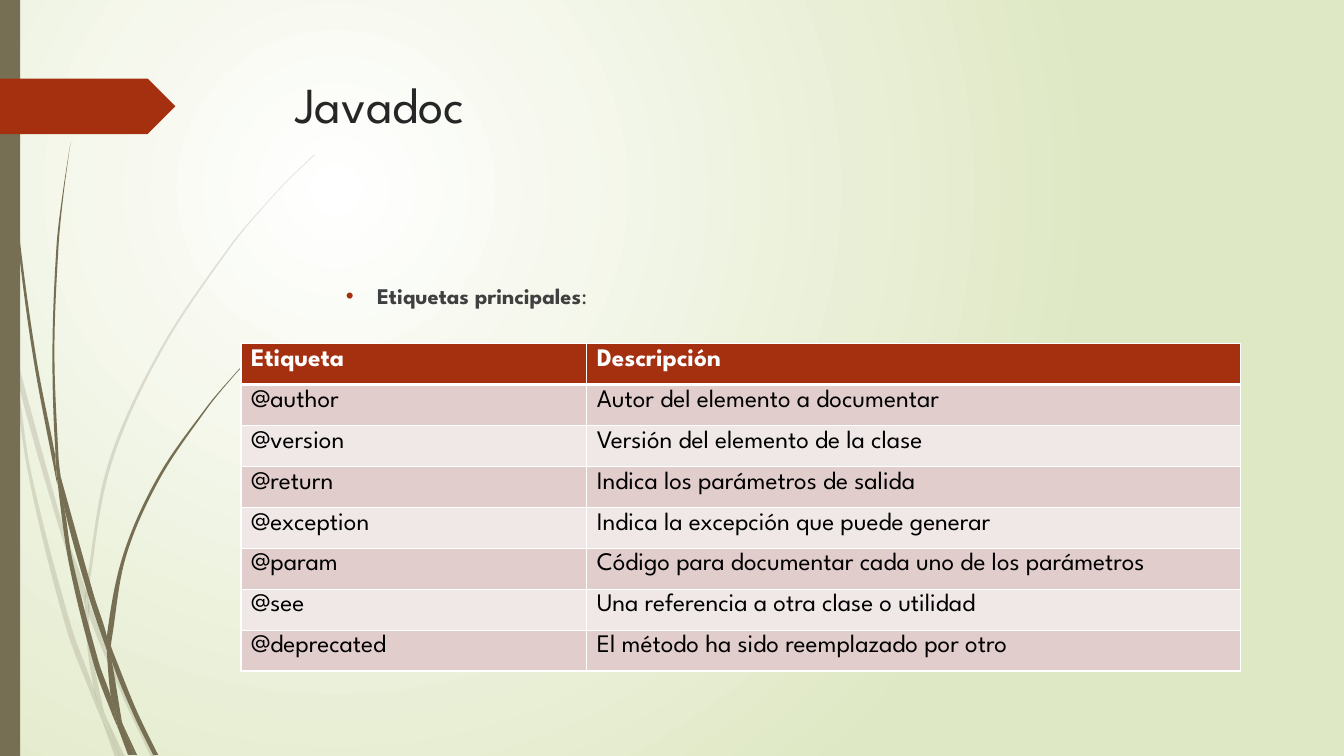
from math import hypot

from lxml import etree
from pptx import Presentation
from pptx.dml.color import RGBColor
from pptx.enum.shapes import MSO_SHAPE
from pptx.enum.text import MSO_ANCHOR, MSO_AUTO_SIZE, PP_ALIGN
from pptx.oxml.ns import qn
from pptx.util import Inches, Pt

FONT = "League Spartan"
COLORS = {
    "white": "FFFFFF", "olive": "766F54", "rust": "A53010", "mist": "DFE8C4",
    "title": "262626", "body": "404040", "black": "000000",
    "band_dark": "E1CDCC", "band_light": "F0E8E7",
}

# Closed outlines of the grass blades, in inches.
PALE_BLADES = [
    [(.11, 3.5), (.09, 3.22), (0, 2.82), (0, 2.99), (.1, 3.44)],
    [(.58, 5.22), (.84, 5.99), (.85, 5.86), (.62, 5.2), (.14, 3.45), (.17, 3.76)],
    [(.92, 6.07), (.88, 5.96), (.88, 6.1), (1.23, 6.94), (1.5, 7.51), (1.55, 7.51), (1.27, 6.92)],
    [(1.19, 7.51), (1.24, 7.51), (1.05, 7.11)],
    [(.93, 6.83), (.7, 6.19), (.31, 4.69), (.17, 3.76), (.11, 3.5), (.28, 4.7), (.65, 6.21),
     (.92, 6.93), (1.01, 7.14), (.99, 7.07)],
    [(.84, 5.99), (.87, 6.46), (.93, 6.83), (.96, 6.92), (1.05, 7.11), (1.03, 7.06),
     (.91, 6.46), (.88, 6.1), (.88, 6.08)],
    [(.88, 5.84), (1.1, 4.62), (1.6, 3.49), (2.29, 2.45), (2.68, 1.98), (2.9, 1.75),
     (3.12, 1.54), (3.12, 1.53), (2.89, 1.75), (2.68, 1.97), (2.28, 2.44), (1.58, 3.48),
     (1.07, 4.61), (.85, 5.84), (.85, 5.86), (.88, 5.96)],
    [(1.01, 7.14), (1.14, 7.51), (1.19, 7.51)],
    [(.88, 6.08), (.88, 6.1), (.88, 5.96), (.85, 5.86), (.84, 5.99)],
    [(.96, 6.92), (.93, 6.83), (.99, 7.07), (1.01, 7.14), (1.19, 7.51), (1.05, 7.11)],
]
DARK_BLADES = [
    [(.07, 1.1), (.17, 2.33), (.33, 3.55), (.56, 4.77), (.57, 4.81), (.55, 4.57), (.55, 4.53),
     (.36, 3.55), (.19, 2.32), (.08, 1.09), (.05, .48), (.04, 0), (.03, 0), (.04, .48)],
    [(.88, 5.92), (1.06, 6.45), (1.06, 6.31), (.93, 5.9), (.6, 4.72), (.64, 5.05)],
    [(1.13, 6.49), (1.1, 6.41), (1.11, 6.56), (1.32, 7.08), (1.52, 7.49), (1.57, 7.49),
     (1.36, 7.06)],
    [(1.1, 6.91), (.98, 6.57), (.72, 5.56), (.64, 5.05), (.57, 4.77), (.68, 5.57), (.93, 6.59),
     (1.11, 7.08), (1.17, 7.22), (1.16, 7.17)],
    [(.6, 4.72), (.58, 4.53), (.54, 3.49), (.58, 2.45), (.63, 1.93), (.7, 1.41), (.62, 1.93),
     (.56, 2.45), (.52, 3.49), (.55, 4.49)],
    [(1.33, 7.49), (1.36, 7.49), (1.22, 7.19)],
    [(.57, 4.77), (.64, 5.05), (.6, 4.72), (.55, 4.49), (.55, 4.53)],
    [(1.11, 6.33), (1.25, 5.52), (1.58, 4.76), (2.05, 4.06), (2.31, 3.74), (2.45, 3.59),
     (2.61, 3.44), (2.6, 3.44), (2.45, 3.58), (2.31, 3.73), (2.04, 4.05), (1.56, 4.74),
     (1.22, 5.51), (1.06, 6.31), (1.1, 6.41)],
    [(1.17, 7.22), (1.27, 7.49), (1.31, 7.49)],
    [(1.06, 6.45), (1.1, 6.91), (1.16, 7.06), (1.22, 7.19), (1.21, 7.16), (1.11, 6.56),
     (1.09, 6.51)],
    [(1.06, 6.45), (1.09, 6.51), (1.11, 6.56), (1.1, 6.41), (1.06, 6.31)],
    [(1.16, 7.06), (1.1, 6.91), (1.16, 7.17), (1.17, 7.22), (1.3, 7.49), (1.33, 7.49),
     (1.22, 7.19)],
]

TAGS = [
    ("Etiqueta", "Descripción"),
    ("@author", "Autor del elemento a documentar"),
    ("@version", "Versión del elemento de la clase"),
    ("@return", "Indica los parámetros de salida"),
    ("@exception", "Indica la excepción que puede generar"),
    ("@param", "Código para documentar cada uno de los parámetros"),
    ("@see", "Una referencia a otra clase o utilidad"),
    ("@deprecated", "El método ha sido reemplazado por otro"),
]


def rgb(name):
    return RGBColor.from_string(COLORS[name])


def paint(sp, color):
    sp.shadow.inherit = False
    sp.fill.solid()
    sp.fill.fore_color.rgb = rgb(color)
    sp.line.fill.background()


def add_run(p, text, color, size, bold=False):
    r = p.add_run()
    r.text = text
    for name, value in {"name": FONT, "size": Pt(size), "bold": bold}.items():
        setattr(r.font, name, value)
    r.font.color.rgb = rgb(color)


def add_xml(parent, tag, **attrs):
    return etree.SubElement(parent, qn(tag), attrs)


def set_background(slide):
    """Radial gradient, white at a quarter of the slide's width and height."""
    fill = slide.background.fill
    fill.gradient()
    for stop, color, pos in zip(fill.gradient_stops, ("white", "mist"), (0, 1)):
        stop.color.rgb = rgb(color)
        stop.position = pos
    grad = slide.background._cSld.find(".//" + qn("a:gradFill"))
    grad.remove(grad.find(qn("a:lin")))
    circle = add_xml(grad, "a:path", path="circle")
    add_xml(circle, "a:fillToRect", l="50000", t="50000", r="100000", b="100000")


def tangent(a, b, c):
    """Unit direction of the outline at b, or zero at a sharp corner."""
    (ux, uy), (vx, vy) = (b[0] - a[0], b[1] - a[1]), (c[0] - b[0], c[1] - b[1])
    if ux * vx + uy * vy < .7 * hypot(ux, uy) * hypot(vx, vy):
        return 0, 0
    length = hypot(ux + vx, uy + vy)
    return (ux + vx) / length, (uy + vy) / length


def curve_segments(sp):
    """Turn the straight segments of a closed freeform into smooth curves."""
    lines = list(sp._element.spPr.iter(qn("a:lnTo")))
    pts = [(int(ln[0].get("x")), int(ln[0].get("y"))) for ln in lines]
    n = len(pts)
    dirs = [tangent(pts[i - 1], pts[i], pts[(i + 1) % n]) for i in range(n)]
    for i, ln in enumerate(lines):
        start, end = pts[i - 1], pts[i]
        reach = hypot(end[0] - start[0], end[1] - start[1]) / 3
        curve = etree.Element(qn("a:cubicBezTo"))
        for (x, y), (dx, dy), k in ((start, dirs[i - 1], reach), (end, dirs[i], -reach),
                                    (end, dirs[i], 0)):
            add_xml(curve, "a:pt", x=str(round(x + k * dx)), y=str(round(y + k * dy)))
        ln.getparent().replace(ln, curve)


def add_blades(slide, blades, opacity=100):
    for blade in blades:
        outline = [(Inches(x), Inches(y)) for x, y in blade]
        builder = slide.shapes.build_freeform(*outline[0])
        builder.add_line_segments(outline[1:] + outline[:1], close=True)
        sp = builder.convert_to_shape()
        curve_segments(sp)
        paint(sp, "olive")
        if opacity < 100:
            color = sp._element.spPr.find(".//" + qn("a:srgbClr"))
            add_xml(color, "a:alpha", val=str(opacity * 1000))


def add_side_decor(slide):
    add_blades(slide, PALE_BLADES, opacity=20)
    add_blades(slide, DARK_BLADES)
    for shape, color, box in ((MSO_SHAPE.RECTANGLE, "olive", (0, 0, .2, 7.5)),
                              (MSO_SHAPE.PENTAGON, "rust", (0, .78, 1.74, .55))):
        paint(slide.shapes.add_shape(shape, *map(Inches, box)), color)


def open_frame(sp, box):
    for name, value in zip(("left", "top", "width", "height"), box):
        setattr(sp, name, Inches(value))
    tf = sp.text_frame
    for name, value in {"word_wrap": True, "auto_size": MSO_AUTO_SIZE.NONE,
                        "vertical_anchor": MSO_ANCHOR.TOP}.items():
        setattr(tf, name, value)
    p = tf.paragraphs[0]
    p.alignment, p.space_before = PP_ALIGN.LEFT, Pt(0)
    return tf, p


def fill_title(slide, box):
    _, p = open_frame(slide.shapes.title, box)
    add_run(p, "Javadoc", "title", 36)


def fill_body(slide, box):
    tf, p = open_frame(slide.placeholders[1], box)
    tf.margin_top = Inches(.47)
    add_run(p, "Etiquetas principales", "body", 16, bold=True)
    add_run(p, ":", "body", 16)
    pPr = p._p.get_or_add_pPr()
    pPr.set("marL", str(Inches(.81)))
    pPr.set("indent", str(-Inches(.31)))
    add_xml(add_xml(pPr, "a:buClr"), "a:srgbClr", val=COLORS["rust"])
    add_xml(pPr, "a:buFont", typeface="Arial")
    add_xml(pPr, "a:buChar", char="•")


def set_borders(cell, bottom):
    tcPr = cell._tc.get_or_add_tcPr()
    for i, (side, width) in enumerate((("L", 1), ("R", 1), ("T", 1), ("B", bottom))):
        ln = etree.Element(qn(f"a:ln{side}"), w=str(Pt(width)))
        add_xml(add_xml(ln, "a:solidFill"), "a:srgbClr", val=COLORS["white"])
        tcPr.insert(i, ln)


def add_tag_table(slide, box, first_width=3.43):
    table = slide.shapes.add_table(len(TAGS), 2, *map(Inches, box)).table
    for col, width in zip(table.columns, (first_width, box[2] - first_width)):
        col.width = Inches(width)
    for i, row in enumerate(TAGS):
        header = i == 0
        band = "rust" if header else ("band_light", "band_dark")[i % 2]
        for cell, text in zip(table.rows[i].cells, row):
            cell.fill.solid()
            cell.fill.fore_color.rgb = rgb(band)
            set_borders(cell, 3 if header else 1)
            add_run(cell.text_frame.paragraphs[0], text,
                    "white" if header else "black", 18, bold=header)


def main():
    prs = Presentation()
    prs.slide_width, prs.slide_height = Inches(13.33), Inches(7.5)
    slide = prs.slides.add_slide(prs.slide_layouts[1])
    set_background(slide)
    add_side_decor(slide)
    fill_title(slide, (2.83, .68, 9.75, 1.4))
    fill_body(slide, (2.83, 2.33, 9.75, 4.13))
    add_tag_table(slide, (2.39, 3.41, 9.91, 3.25))
    prs.save("out.pptx")


if __name__ == "__main__":
    main()
